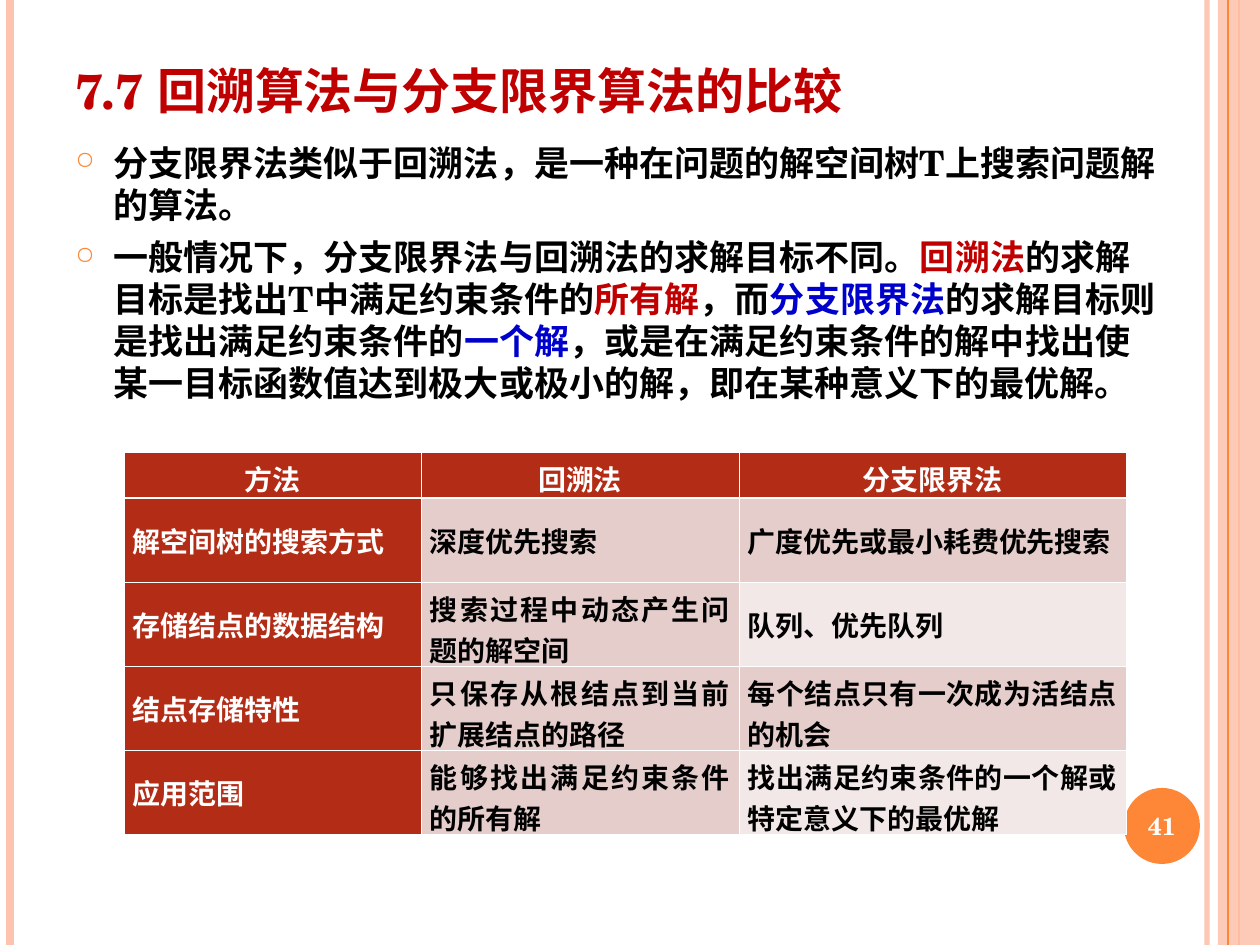
from dataclasses import dataclass

from lxml import etree
from pptx import Presentation
from pptx import util as u
from pptx.dml import color
from pptx.enum import lang, shapes, text
from pptx.oxml import ns

PX = 914400 / 126  # EMU in one px
FONT = "TeX Gyre Schola"
COLORS = {
    "black": "000000", "white": "FFFFFF", "red": "C00000", "blue": "0000CC",
    "orange": "FE8637", "peach": "FEC3AE",
    "brick": "B32C16", "rose": "E5CDCC", "blush": "F2E8E7",
}


@dataclass(frozen=True)
class Stripe:
    x: int
    color: str
    width: float
    opacity: int = 100


STRIPES_BELOW = [Stripe(1207, "peach", 3, 93), Stripe(10, "peach", 4.5),
                 Stripe(1239, "orange", 1.5)]
STRIPE_ABOVE = Stripe(1228, "orange", 0.75)

BULLETS = [
    [("分支限界法类似于回溯法，是一种在问题的解空间树T上搜索问题解的算法。", "black")],
    [("一般情况下，分支限界法与回溯法的求解目标不同。", "black"),
     ("回溯法", "red"),
     ("的求解目标是找出T中满足约束条件的", "black"),
     ("所有解", "red"),
     ("，而", "black"),
     ("分支限界法", "blue"),
     ("的求解目标则是找出满足约束条件的", "black"),
     ("一个解", "blue"),
     ("，或是在满足约束条件的解中找出使某一目标函数值达到极大或极小的解，"
      "即在某种意义下的最优解。", "black")],
]

COLUMNS = [297, 318, 387]
ROWS = [
    ("方法", "回溯法", "分支限界法"),
    ("解空间树的搜索方式", "深度优先搜索", "广度优先或最小耗费优先搜索"),
    ("存储结点的数据结构", "搜索过程中动态产生问题的解空间", "队列、优先队列"),
    ("结点存储特性", "只保存从根结点到当前扩展结点的路径", "每个结点只有一次成为活结点的机会"),
    ("应用范围", "能够找出满足约束条件的所有解", "找出满足约束条件的一个解或特定意义下的最优解"),
]


def px(n: int) -> int:
    return round(n * PX)


def rgb(name: str) -> color.RGBColor:
    return color.RGBColor.from_string(COLORS[name])


def add(parent, tag: str, **attrs):
    return etree.SubElement(parent, ns.qn(tag), attrs)


def set_opacity(sp, percent: int) -> None:
    clr = next(sp._element.spPr.iter(ns.qn("a:srgbClr")))
    add(clr, "a:alpha", val=str(percent * 1000))


def write(p, words: str, *, size: int, color: str = "black", align=None) -> None:
    """Append one bold run to a paragraph."""
    if align is not None:
        p.alignment = align
    r = p.add_run()
    r.text = words
    f = r.font
    f.name, f.size, f.bold = FONT, u.Pt(size), True
    f.color.rgb = rgb(color)
    f.language_id = lang.MSO_LANGUAGE_ID.SIMPLIFIED_CHINESE


def add_stripe(s, stripe: Stripe) -> None:
    x = px(stripe.x)
    line = s.shapes.add_connector(shapes.MSO_CONNECTOR.STRAIGHT, x, 0, x, px(945))
    line.line.color.rgb = rgb(stripe.color)
    line.line.width = u.Pt(stripe.width)
    add(line._element.spPr, "a:effectLst")
    if stripe.opacity < 100:
        set_opacity(line, stripe.opacity)


def add_filled(s, kind, box: tuple[int, ...], fill: str):
    sp = s.shapes.add_shape(kind, *map(px, box))
    sp.shadow.inherit = False
    sp.fill.solid()
    sp.fill.fore_color.rgb = rgb(fill)
    sp.line.fill.background()
    return sp


def add_text_frame(s, box: tuple[int, ...], anchor):
    tf = s.shapes.add_textbox(*map(px, box)).text_frame
    tf.word_wrap = True
    tf.vertical_anchor = anchor
    return tf


def add_bullet(p) -> None:
    pPr = p._p.get_or_add_pPr()
    indent = px(38)
    pPr.set("marL", str(indent))
    pPr.set("indent", str(-indent))
    add(add(pPr, "a:buClr"), "a:srgbClr", val=COLORS["orange"])
    add(pPr, "a:buSzPct", val="70000")
    add(pPr, "a:buChar", char="○")


def add_border(cell, side: str, width: float) -> None:
    ln = add(cell._tc.get_or_add_tcPr(), f"a:ln{side}", w=str(u.Pt(width)))
    add(add(ln, "a:solidFill"), "a:srgbClr", val=COLORS["white"])


def cell_fill(row: int, col: int) -> str:
    if row == 0 or col == 0:
        return "brick"
    return "blush" if col == 2 and row % 2 == 0 else "rose"


def add_comparison(s, x: int, y: int, header: int, row_height: int) -> None:
    heights = [header] + [row_height] * (len(ROWS) - 1)
    table = s.shapes.add_table(len(ROWS), len(COLUMNS), px(x), px(y),
                               px(sum(COLUMNS)), px(sum(heights))).table
    table.horz_banding = False
    for column, width in zip(table.columns, COLUMNS):
        column.width = px(width)
    for i, (words, height) in enumerate(zip(ROWS, heights)):
        table.rows[i].height = px(height)
        for j, word in enumerate(words):
            cell = table.cell(i, j)
            cell.vertical_anchor = text.MSO_ANCHOR.MIDDLE
            cell.margin_left = cell.margin_right = px(9)
            for side in "LRTB":
                heavy = (i, side) in ((0, "B"), (1, "T"))
                add_border(cell, side, 1.47 if heavy else 0.45)
            fill = cell_fill(i, j)
            cell.fill.solid()
            cell.fill.fore_color.rgb = rgb(fill)
            write(cell.text_frame.paragraphs[0], word, size=16,
                  color="white" if fill == "brick" else "black",
                  align=text.PP_ALIGN.JUSTIFY if i else text.PP_ALIGN.CENTER)


def main() -> None:
    prs = Presentation()
    prs.slide_width, prs.slide_height = px(1260), px(945)
    s = prs.slides.add_slide(prs.slide_layouts[5])

    # Side stripes and page-number disc
    for stripe in STRIPES_BELOW:
        add_stripe(s, stripe)
    band = add_filled(s, shapes.MSO_SHAPE.RECTANGLE, (1218, 0, 42, 945), "peach")
    set_opacity(band, 87)
    add_stripe(s, STRIPE_ABOVE)
    add_filled(s, shapes.MSO_SHAPE.OVAL, (1124, 788, 76, 76), "orange")

    # Title
    title = s.shapes.title
    title.left, title.top, title.width, title.height = map(px, (63, 16, 1113, 110))
    tf = title.text_frame
    tf.auto_size = text.MSO_AUTO_SIZE.NONE
    tf.word_wrap = True
    tf.vertical_anchor = text.MSO_ANCHOR.BOTTOM
    write(tf.paragraphs[0], "7.7 回溯算法与分支限界算法的比较", size=28,
          color="red", align=text.PP_ALIGN.LEFT)

    # Bulleted text
    tf = add_text_frame(s, (63, 135, 1113, 317), text.MSO_ANCHOR.TOP)
    for i, runs in enumerate(BULLETS):
        p = tf.add_paragraph() if i else tf.paragraphs[0]
        add_bullet(p)
        p.line_spacing = u.Pt(24)
        if i:
            p.space_before = u.Pt(6)
        for words, name in runs:
            write(p, words, size=20, color=name)

    # Page number
    tf = add_text_frame(s, (1120, 790, 84, 72), text.MSO_ANCHOR.MIDDLE)
    write(tf.paragraphs[0], "41", size=14, color="white", align=text.PP_ALIGN.CENTER)

    # Comparison table
    add_comparison(s, 124, 452, header=42, row_height=84)

    prs.save("out.pptx")


if __name__ == "__main__":
    main()
